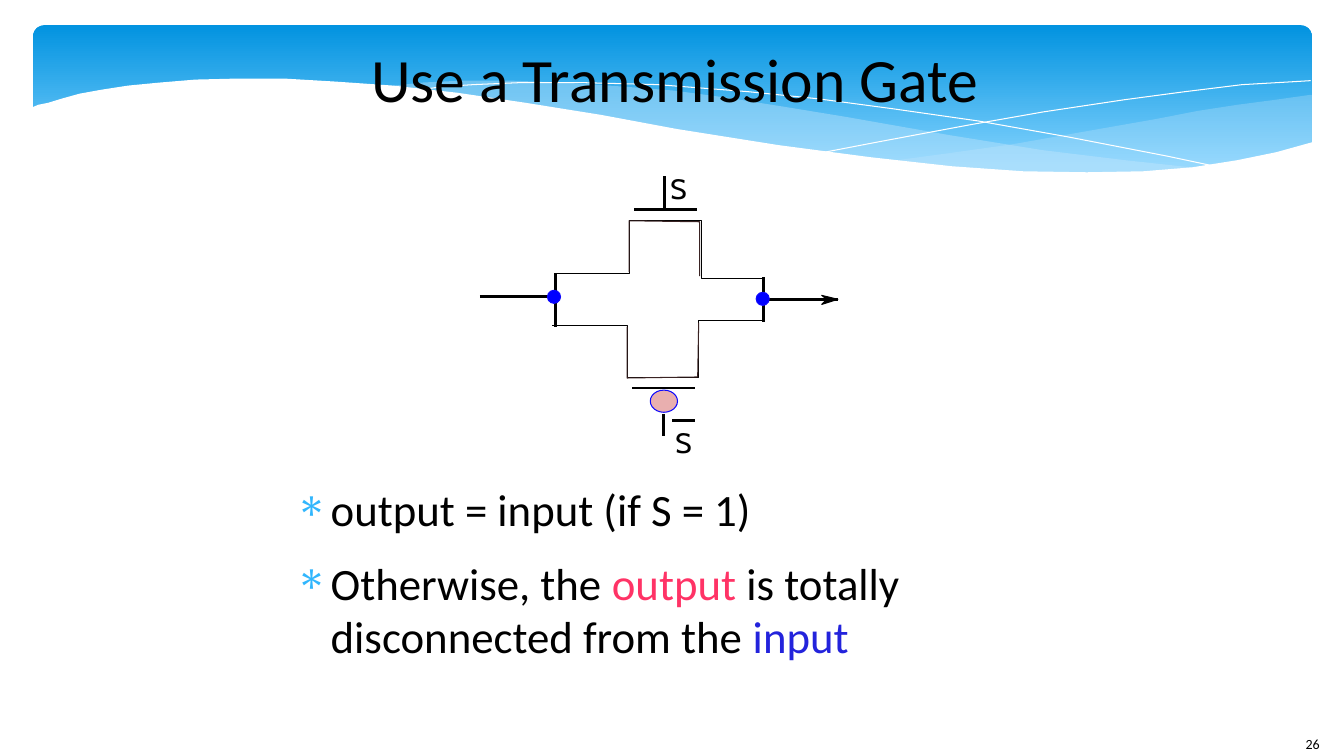
from lxml import etree
from pptx import Presentation
from pptx.dml.color import RGBColor
from pptx.enum.shapes import MSO_CONNECTOR, MSO_SHAPE
from pptx.enum.text import MSO_ANCHOR, PP_ALIGN
from pptx.oxml.ns import qn
from pptx.util import Inches, Pt

STRAIGHT = MSO_CONNECTOR.STRAIGHT
OVAL, ROUNDED = MSO_SHAPE.OVAL, MSO_SHAPE.ROUNDED_RECTANGLE
MIDDLE, CENTER = MSO_ANCHOR.MIDDLE, PP_ALIGN.CENTER

BLACK = RGBColor(0x00, 0x00, 0x00)
WHITE = RGBColor(0xFF, 0xFF, 0xFF)
SKY_TOP = RGBColor(0x02, 0x93, 0xE0)
SKY_BOTTOM = RGBColor(0x83, 0xD3, 0xFE)
VEIL = RGBColor(0xC6, 0xE7, 0xFC)
BULLET = RGBColor(0x31, 0xB6, 0xFD)
PINK = RGBColor(0xFF, 0x33, 0x66)
INPUT_BLUE = RGBColor(0x23, 0x23, 0xDC)
NODE = RGBColor(0x00, 0x00, 0xFF)
RIM = RGBColor(0x0E, 0x08, 0xFD)
BUBBLE = RGBColor(0xE9, 0xAF, 0xAF)
CHANNEL = RGBColor(0x3A, 0x23, 0x23)

# Header curves, in inches from the header's corner
RIGHT_VEIL = [
    (12.67, .69), (12.32, .74), (11.94, .79), (11.55, .85), (11.14, .93), (10.4, 1.06),
    (9.72, 1.18), (9.08, 1.27), (8.49, 1.35), (8.88, 1.39), (9.43, 1.43), (9.92, 1.46),
    (10.38, 1.47), (10.8, 1.47), (11.18, 1.45), (11.53, 1.41), (11.85, 1.37),
    (12.14, 1.31), (12.51, 1.22), (12.68, 1.17), (12.68, .69)]
LEFT_VEIL = [
    (11.57, 1.42), (10.83, 1.34), (10.01, 1.24), (9.08, 1.09), (8.06, .91), (7.45, .81),
    (6.88, .72), (6.36, .65), (5.86, .61), (5.27, .57), (4.73, .55), (4.26, .55),
    (3.85, .57), (3.49, .61), (3.98, .65), (4.5, .72), (5.06, .81), (5.66, .91),
    (6.73, 1.1), (7.46, 1.21), (8.13, 1.31), (8.74, 1.38), (9.3, 1.43), (9.81, 1.46),
    (10.28, 1.48), (10.71, 1.48), (11.1, 1.46), (11.46, 1.43)]
FALLING_LINE = [
    (3.79, .65), (4.05, .61), (4.37, .59), (4.83, .57), (5.44, .57), (6.19, .59),
    (7.09, .66), (7.78, .73), (8.53, .83), (9.37, .95), (10.27, 1.11), (11.25, 1.3),
    (11.77, 1.41)]
RISING_LINE = [
    (7.85, 1.26), (8.37, 1.16), (9.28, .99), (10.02, .86), (10.82, .74), (11.42, .66),
    (11.99, .59), (12.51, .56), (12.67, .55)]
WHITE_WAVE = [
    (12.69, 1.16), (12.33, 1.26), (11.94, 1.34), (11.5, 1.41), (11.01, 1.45),
    (10.45, 1.46), (9.82, 1.45), (9.11, 1.4), (8.3, 1.31), (7.39, 1.19), (6.38, 1.03),
    (5.63, .89), (4.88, .77), (4.2, .67), (3.57, .6), (3, .56), (2.49, .53), (2.02, .53),
    (1.61, .54), (1.25, .57), (.94, .6), (.68, .64), (.46, .68), (.28, .73), (.15, .77),
    (.05, .79), (-.02, .82), (-.02, 1.99), (12.7, 1.99)]

# Circuit parts, in inches from the circuit's corner
CHANNELS = [
    (BLACK, [(2.8, 1.06), (2.2, 1.06), (2.2, .49), (1.48, .49), (1.48, 1.01), (.73, 1.01)]),
    (BLACK, [(2.82, 1.48), (2.17, 1.48), (2.17, 2.05), (1.46, 2.05), (1.46, 1.53), (.71, 1.53)]),
    (CHANNEL, [(1.48, 1), (1.48, .49), (2.18, .5), (2.18, 1.04)]),
    (CHANNEL, [(1.46, 1.54), (1.46, 2.05), (2.16, 2.04), (2.17, 1.5)])]
WIRES = [
    (0, 1.24, .73, 1.24), (2.82, 1.27, 3.55, 1.27),       # input, output
    (.75, 1.01, .75, 1.54), (2.81, 1.05, 2.81, 1.49),     # left and right joints
    (2.15, .38, 1.53, .38), (2.13, 2.15, 1.51, 2.15),     # gate plates
    (1.83, .36, 1.83, .05), (1.82, 2.41, 1.82, 2.63),     # gate leads
    (1.91, 2.47, 2.13, 2.47)]                             # bar over the lower S
ARROWHEAD = [(3.44, 1.27), (3.39, 1.32), (3.55, 1.27), (3.39, 1.23)]
OVALS = [(1.69, 2.17, .27, .22, BUBBLE), (.67, 1.18, .13, .13, NODE), (2.74, 1.2, .13, .13, NODE)]
GATE_LABELS = [(1.89, 0), (1.94, 2.52)]


def paint(shape, fill=None, line=None, alpha=None):
    shape.shadow.inherit = False
    if fill is None:
        shape.fill.background()
    else:
        shape.fill.solid()
        shape.fill.fore_color.rgb = fill
    if alpha is not None:
        color = shape.fill._xPr.find(qn("a:solidFill"))[0]
        etree.SubElement(color, qn("a:alpha")).set("val", str(alpha * 1000))
    if line is None:
        shape.line.fill.background()
    else:
        shape.line.color.rgb = line
        shape.line.width = Pt(0)


def add_outline(slide, left, top, points, close=True, **colors):
    places = [(Inches(left + x), Inches(top + y)) for x, y in points]
    builder = slide.shapes.build_freeform(*places[0], scale=1.0)
    builder.add_line_segments(places[1:], close=close)
    paint(builder.convert_to_shape(), **colors)


def add_wire(slide, x1, y1, x2, y2):
    wire = slide.shapes.add_connector(STRAIGHT, Inches(x1), Inches(y1), Inches(x2), Inches(y2))
    wire.line.color.rgb = BLACK
    wire.line.width = Pt(0)
    etree.SubElement(wire._element.spPr, qn("a:effectLst"))


def write(paragraph, text, size=32, font="Calibri", color=BLACK):
    run = paragraph.add_run()
    run.text = text
    run.font.size = Pt(size)
    run.font.name = font
    run.font.color.rgb = color


def add_frame(slide, left, top, width, height, wrap=True, inset=0.0):
    frame = slide.shapes.add_textbox(*map(Inches, (left, top, width, height))).text_frame
    frame.word_wrap = wrap
    frame.margin_left = frame.margin_right = Inches(inset)
    frame.margin_top = frame.margin_bottom = Inches(inset / 2)
    return frame


def add_bullet(paragraph):
    properties = paragraph._p.get_or_add_pPr()
    properties.set("marL", str(Inches(0.47)))
    properties.set("indent", str(Inches(-0.35)))
    paragraph.space_after = Pt(14.1)
    color = etree.SubElement(properties, qn("a:buClr"))
    etree.SubElement(color, qn("a:srgbClr")).set("val", str(BULLET))
    etree.SubElement(properties, qn("a:buFont")).set("typeface", "Symbol")
    etree.SubElement(properties, qn("a:buChar")).set("char", "∗")


def header(slide, left, top, width, height):
    sky = slide.shapes.add_shape(ROUNDED, *map(Inches, (left, top, width, height)))
    sky.adjustments[0] = 0.07
    paint(sky)
    sky.fill.gradient()
    sky.fill.gradient_angle = 270
    for stop, position, color in zip(sky.fill.gradient_stops, (0, 0.9), (SKY_TOP, SKY_BOTTOM)):
        stop.position = position
        stop.color.rgb = color
    add_outline(slide, left, top, RIGHT_VEIL, fill=VEIL, alpha=29)
    add_outline(slide, left, top, LEFT_VEIL, fill=VEIL, alpha=40)
    for curve in (FALLING_LINE, RISING_LINE):
        add_outline(slide, left, top, curve, close=False, line=WHITE)
    add_outline(slide, left, top, WHITE_WAVE, fill=WHITE)


def heading(slide, left, top, width, height):
    title = slide.shapes.title
    title.left, title.top, title.width, title.height = map(Inches, (left, top, width, height))
    frame = title.text_frame
    frame.margin_left = frame.margin_right = frame.margin_top = frame.margin_bottom = 0
    frame.vertical_anchor = MIDDLE
    frame.paragraphs[0].alignment = CENTER
    write(frame.paragraphs[0], "Use a Transmission Gate", size=44)
    # Bring the title in front of the header
    slide.shapes._spTree.append(title._element)


def transmission_gate(slide, left, top):
    for color, points in CHANNELS:
        add_outline(slide, left, top, points, close=False, line=color)
    for x1, y1, x2, y2 in WIRES:
        add_wire(slide, left + x1, top + y1, left + x2, top + y2)
    add_outline(slide, left, top, ARROWHEAD, fill=BLACK, line=BLACK)
    for x, y, width, height, color in OVALS:
        oval = slide.shapes.add_shape(OVAL, *map(Inches, (left + x, top + y, width, height)))
        paint(oval, fill=color, line=RIM)
    for x, y in GATE_LABELS:
        label = add_frame(slide, left + x, top + y, 0.13, 0.34, wrap=False)
        write(label.paragraphs[0], "S", size=20, font="Cabin")


def behaviour(slide, left, top, width, height):
    frame = add_frame(slide, left, top, width, height)
    when_on, when_off = frame.paragraphs[0], frame.add_paragraph()
    for paragraph in (when_on, when_off):
        add_bullet(paragraph)
    write(when_on, "output = input (if S = 1)")
    write(when_off, "Otherwise, the ")
    write(when_off, "output", color=PINK)
    write(when_off, " is totally disconnected from the ")
    write(when_off, "input", color=INPUT_BLUE)


def page_number(slide, left, top, width, height):
    frame = add_frame(slide, left, top, width, height, inset=0.1)
    write(frame.paragraphs[0], "26", size=10)


def main():
    deck = Presentation()
    deck.slide_width, deck.slide_height = Inches(13.33), Inches(7.5)
    slide = deck.slides.add_slide(deck.slide_layouts[5])
    header(slide, 0.33, 0.25, 12.68, 1.56)
    page_number(slide, 12.85, 7.25, 0.82, 0.4)
    heading(slide, 2.64, 0.26, 8.11, 1.02)
    behaviour(slide, 2.81, 4.78, 8.55, 1.9)
    transmission_gate(slide, 4.76, 1.7)
    deck.save("out.pptx")


if __name__ == "__main__":
    main()
